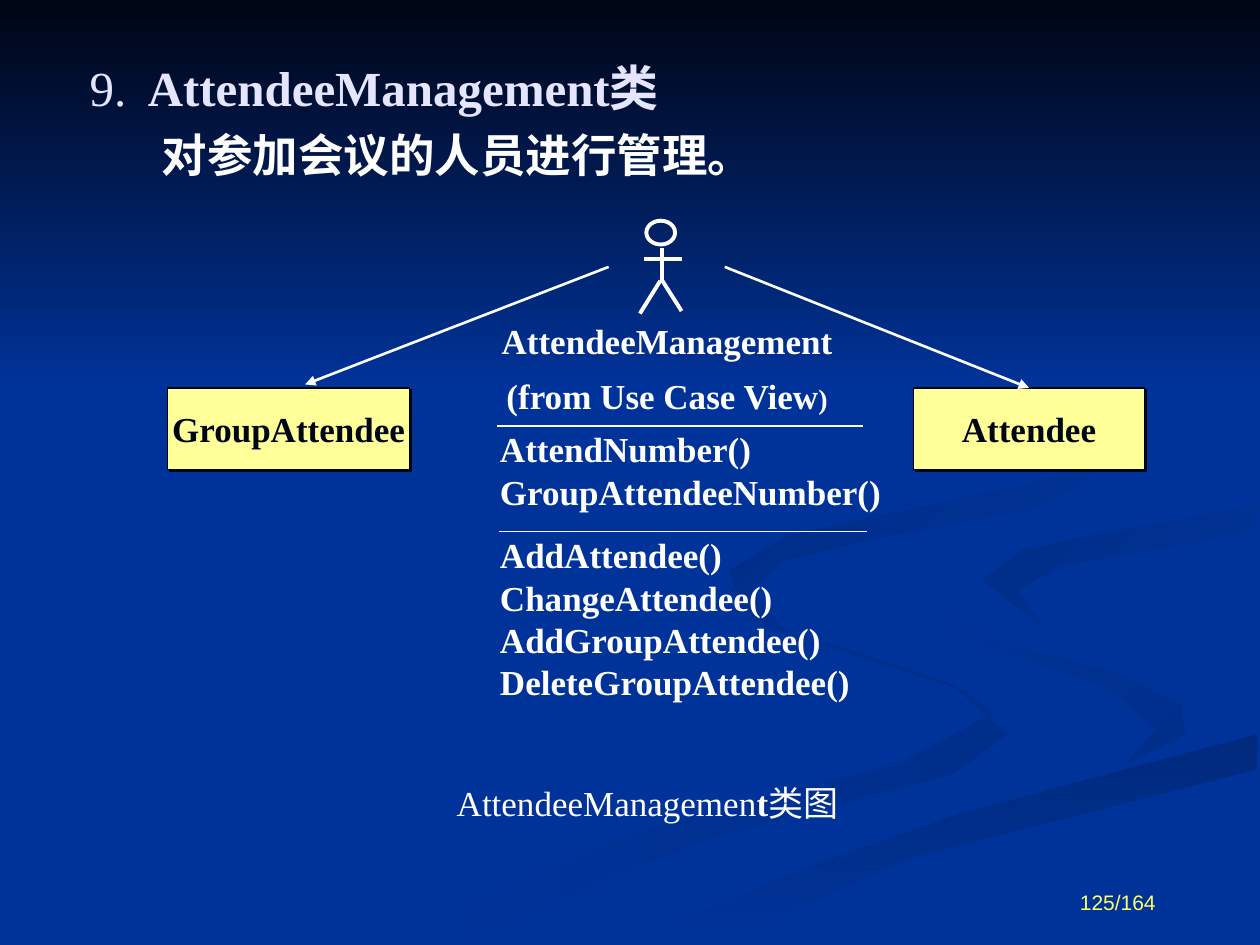
from lxml.etree import SubElement
from pptx import Presentation
from pptx.dml.color import RGBColor
from pptx.enum.shapes import MSO_CONNECTOR, MSO_SHAPE
from pptx.enum.text import MSO_ANCHOR as Anchor, PP_ALIGN as Align
from pptx.oxml.ns import qn
from pptx.util import Cm, Pt

NAVY, BLUE, WHITE, LILAC = "000514", "003399", "FFFFFF", "E5E5FF"
CREAM, YELLOW = "FFFF99", "FFFF66"
SERIF, SANS = "Times New Roman", "Arial"

# Background ribbons: start colour, end colour, clockwise angle, outline in cm
RIBBONS = [
    (BLUE, "002E8B", 0, [
        (14.6, 11.7), (15.3, 12.6), (19.4, 13.9), (20, 14.4), (18.1, 15.4), (12.7, 16.8),
        (7.6, 19), (9.2, 19), (14.3, 16.9), (19.2, 15.6), (20.3, 14.8), (19.2, 13.8),
        (15.6, 12.6)]),
    (BLUE, "002E8B", 45, [
        (18.4, 11.8), (19.2, 12.8), (22.4, 13.9), (23.3, 14.7), (22.7, 15.4),
        (23.9, 14.8), (23.8, 14.2), (22.6, 13.6), (19.7, 12.8)]),
    ("002A7D", BLUE, 90, [
        (12.8, 19), (14.5, 19), (18.3, 17.3), (25.35, 15.5), (25.35, 14.8),
        (19.4, 16.4), (16, 17.6)]),
    ("002D86", BLUE, 45, [
        (19.8, 11.7), (21, 12.6), (20.5, 11.9), (21.4, 11.4), (25.35, 10.7),
        (25.35, 10.2), (22, 10.8), (20.6, 11.1)]),
    ("002B82", BLUE, 45, [
        (17.4, 10.9), (21, 10.2), (22.6, 9.2), (22.2, 7.6), (19.4, 5.9), (22.1, 7.6),
        (22.4, 9), (21.1, 9.7), (15.9, 10.8), (14.7, 11.5), (15, 12.3), (15.8, 12.7),
        (15.1, 11.9), (15.8, 11.3)]),
]
# Runs: text, size, colour, bold
TITLE = [
    [("9.\t", 28, LILAC, False), ("AttendeeManagement类", 28, LILAC, True)],
    [("对参加会议的人员进行管理。", 26, WHITE, True)],
]
MEMBERS = ["AttendNumber()", "GroupAttendeeNumber()", "AddAttendee()",
           "ChangeAttendee()", "AddGroupAttendee()", "DeleteGroupAttendee()"]
FIRST_OPERATION = 2
CLASS_NAME = [[("AttendeeManagement", 20, WHITE, True)]]
CLASS_ORIGIN = [[("(from Use Case View", 20, WHITE, True), (")", 16, WHITE, True)]]
CAPTION = [[("AttendeeManagemen", 20, WHITE, False), ("t", 20, WHITE, True),
            ("类图", 20, WHITE, False)]]
PAGE = [[("125/164", 12, YELLOW, False)]]
# Class boxes: name, left, width
BOXES = [("GroupAttendee", 3.38, 4.88), ("Attendee", 18.42, 4.65)]
BOX_TOP, BOX_HEIGHT = 7.82, 1.65
# Lines: x1, y1, x2, y2
FIGURE = [(13.34, 5, 13.34, 5.66), (13.31, 5.66, 12.9, 6.32),
          (13.34, 5.64, 13.74, 6.27), (12.98, 5.23, 13.75, 5.23)]
DIVIDERS = [(10.06, 10.72, 17.48, 10.72), (10.01, 8.59, 17.4, 8.59)]
ARROWS = [(12.27, 5.38, 6.15, 7.75), (14.61, 5.38, 20.75, 7.75)]


def rgb(value):
    return RGBColor.from_string(value)


def fill_gradient(shape, start, end, angle):
    shape.shadow.inherit = False
    shape.line.fill.background()
    shape.fill.gradient()
    shape.fill.gradient_angle = (360 - angle) % 360
    for stop, color in zip(shape.fill.gradient_stops, (start, end)):
        stop.color.rgb = rgb(color)


def write(text_frame, paragraphs, align=Align.LEFT, font=SERIF):
    text_frame.text = "\n" * (len(paragraphs) - 1)
    for paragraph, runs in zip(text_frame.paragraphs, paragraphs):
        paragraph.alignment = align
        for text, size, color, bold in runs:
            run = paragraph.add_run()
            run.text = text
            run.font.name, run.font.size, run.font.bold = font, Pt(size), bold
            run.font.color.rgb = rgb(color)


def add_text(slide, bounds, paragraphs, align=Align.LEFT, anchor=Anchor.TOP, font=SERIF):
    text_frame = slide.shapes.add_textbox(*map(Cm, bounds)).text_frame
    text_frame.word_wrap = True
    text_frame.vertical_anchor = anchor
    write(text_frame, paragraphs, align, font)
    return text_frame.paragraphs


def add_line(slide, ends, width, arrow=False):
    line = slide.shapes.add_connector(MSO_CONNECTOR.STRAIGHT, *map(Cm, ends))
    line.line.color.rgb = rgb(WHITE)
    line.line.width = Pt(width)
    if arrow:
        SubElement(line._element.spPr.find(qn("a:ln")), qn("a:tailEnd"), type="triangle")
    SubElement(line._element.spPr, qn("a:effectLst"))
    return line


def add_class_box(slide, name, left, width):
    box = slide.shapes.add_shape(
        MSO_SHAPE.RECTANGLE, *map(Cm, (left, BOX_TOP, width, BOX_HEIGHT)))
    box.fill.solid()
    box.fill.fore_color.rgb = rgb(CREAM)
    box.line.color.rgb = rgb(NAVY)
    box.line.width = Pt(0.75)
    effects = SubElement(box._element.spPr, qn("a:effectLst"))
    shadow = SubElement(effects, qn("a:outerShdw"), dist=str(Pt(1.4)), dir="2700000",
                        algn="ctr", rotWithShape="0")
    SubElement(shadow, qn("a:srgbClr"), val=NAVY)
    box.text_frame.word_wrap = False
    box.text_frame.vertical_anchor = Anchor.MIDDLE
    write(box.text_frame, [[(name, 20, NAVY, True)]], Align.CENTER)
    return box


def main():
    presentation = Presentation()
    presentation.slide_width, presentation.slide_height = Cm(25.4), Cm(19.05)
    slide = presentation.slides.add_slide(presentation.slide_layouts[6])

    # Background
    slide.background.fill.solid()
    slide.background.fill.fore_color.rgb = rgb(BLUE)
    for start, end, angle, outline in RIBBONS:
        points = [(Cm(x), Cm(y)) for x, y in outline]
        builder = slide.shapes.build_freeform(*points[0])
        builder.add_line_segments(points[1:], close=True)
        fill_gradient(builder.convert_to_shape(), start, end, angle)
    sky = slide.shapes.add_shape(MSO_SHAPE.RECTANGLE, 0, 0, Cm(25.4), Cm(7.82))
    fill_gradient(sky, NAVY, BLUE, 90)

    # Title with a hanging number, then the indented description
    heading, description = add_text(slide, (1.27, 1.27, 21.49, 2.29), TITLE,
                                    anchor=Anchor.MIDDLE)
    description.line_spacing = 1.2
    for paragraph, margin, indent in ((heading, 1.46, -1.17), (description, 1.74, 0)):
        properties = paragraph._p.get_or_add_pPr()
        properties.set("marL", str(Cm(margin)))
        properties.set("indent", str(Cm(indent)))

    # Class boxes and actor figure
    boxes = [add_class_box(slide, *box) for box in BOXES]
    head = slide.shapes.add_shape(MSO_SHAPE.OVAL, *map(Cm, (13.03, 4.45, 0.58, 0.48)))
    head.shadow.inherit = False
    head.fill.background()
    head.line.color.rgb = rgb(WHITE)
    head.line.width = Pt(2.25)
    for ends in FIGURE:
        add_line(slide, ends, 2.25)

    # Central class: name, attributes, operations
    add_text(slide, (9.32, 6.32, 8.26, 1.12), CLASS_NAME, Align.CENTER)
    add_text(slide, (9.96, 7.42, 7.62, 1.12), CLASS_ORIGIN)
    members = add_text(slide, (9.83, 8.59, 8.46, 5.69),
                       [[(member, 20, WHITE, True)] for member in MEMBERS])
    members[0].line_spacing = 0.9
    for paragraph in members[1:]:
        paragraph.line_spacing = Pt(24)
    members[FIRST_OPERATION].space_before = Pt(12.5)
    for ends in DIVIDERS:
        add_line(slide, ends, 0.75)

    # Arrows to the two classes
    arrows = [add_line(slide, ends, 1.5, arrow=True) for ends in ARROWS]
    arrows[1].end_connect(boxes[1], 0)

    # Caption and page number
    add_text(slide, (7.24, 15.62, 11.63, 1.12), CAPTION, Align.CENTER)
    add_text(slide, (17.63, 17.25, 5.92, 1.32), PAGE, Align.RIGHT, Anchor.BOTTOM, SANS)

    presentation.save("out.pptx")


if __name__ == "__main__":
    main()
